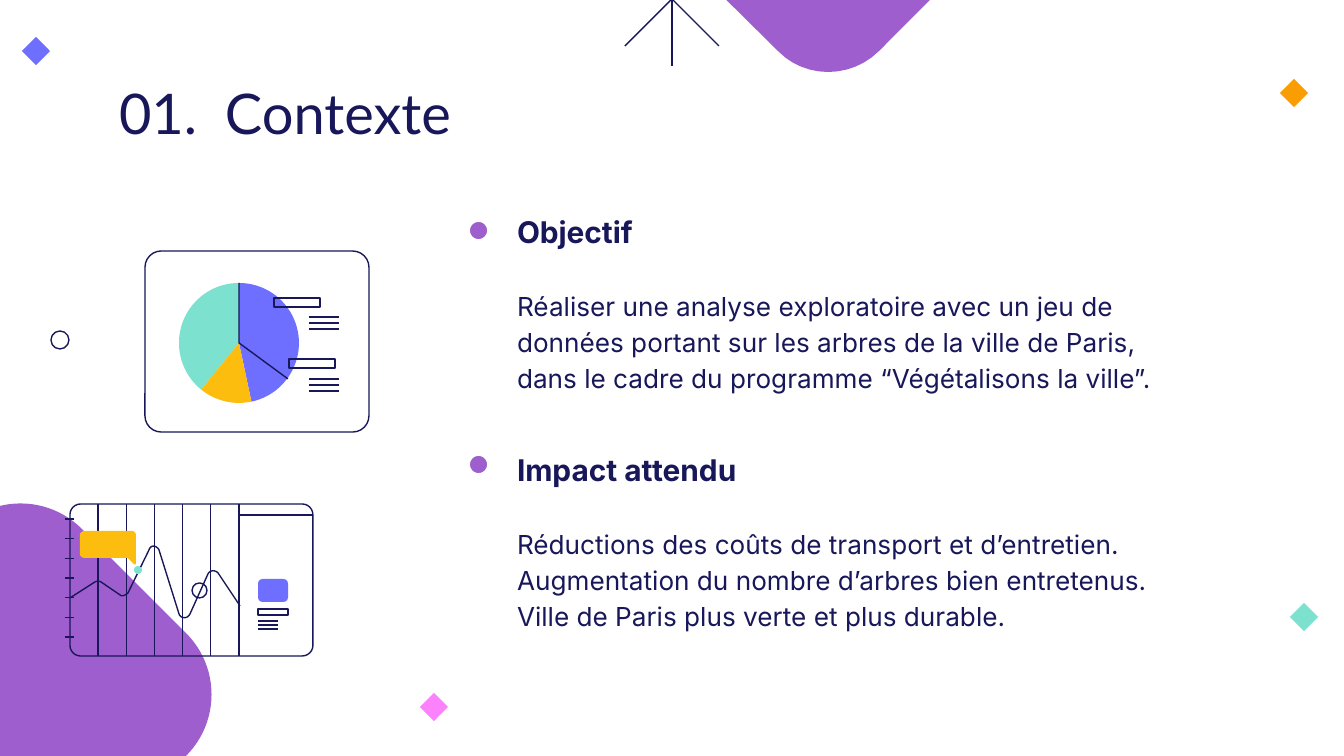
"""Build the "Contexte" slide: goal and expected impact beside two dashboard sketches."""
from math import cos, radians, sin

from lxml.etree import SubElement
from pptx import Presentation
from pptx.dml.color import RGBColor
from pptx.enum.shapes import MSO_CONNECTOR, MSO_SHAPE
from pptx.enum.text import MSO_ANCHOR, MSO_AUTO_SIZE, PP_ALIGN
from pptx.oxml.ns import qn
from pptx.util import Pt

UNIT = 914400 / 134.4
WIDE, HIGH, PAD = 1344, 756, 13
HUES = {"navy": "17175A", "purple": "9E5ECE", "mint": "7CE1CF", "orange": "FA9D02",
        "pink": "FC81FD", "blue": "6E6FFF", "yellow": "FCBD0E", "white": "FFFFFF"}

TITLE = "01.\tContexte"
TITLE_BOX, TITLE_TAB = (106, 66, 1133, 85), 106
TOPICS = [
    ("Objectif", (504, 195, 706, 94), 220, [
        "Réaliser une analyse exploratoire avec un jeu de données portant sur les arbres "
        "de la ville de Paris, dans le cadre du programme “Végétalisons la ville”."]),
    ("Impact attendu", (504, 433, 706, 64), 454, [
        "Réductions des coûts de transport et d’entretien.",
        "Augmentation du nombre d’arbres bien entretenus.",
        "Ville de Paris plus verte et plus durable."]),
]
FONTS = {"title": {"name": "Lato", "size": Pt(30), "bold": False},
         "head": {"name": "Inter", "size": Pt(16), "bold": True},
         "body": {"name": "Inter", "size": Pt(14), "bold": False}}

BLOB = (-140, 534, 321, 321)
PEAK = [(981, -60), (978, -51, 973, -43, 965, -35), (879, 51), (851, 79, 805, 79, 778, 51),
        (691, -35), (684, -43, 678, -51, 675, -60)]
GEMS = [(1304, 617, "mint"), (1294, 93, "orange"), (434, 707, "pink"), (36, 51, "blue")]
GEM = 20
ARROW = [(672, -67, 672, 66), (719, -48, 625, 46), (719, 46, 625, -48)]
RINGS = [(51, 331, 18, 18), (192, 583, 15, 15)]
PANELS = [((70, 504, 243, 152), 0.07), ((145, 251, 224, 181), 0.09)]
KEYS = [(258, 609, 30, 6), (274, 298, 46, 9), (289, 359, 46, 9)]
TAG, DOT = (258, 579, 30, 23), (134, 566, 8, 8)
WAVE = [(70, 598), (95, 582), (97, 581, 99, 581, 101, 582), (120, 595),
        (122, 597, 126, 595, 128, 593), (149, 550), (151, 544, 157, 546, 159, 550),
        (179, 614), (180, 618, 187, 620, 190, 614), (208, 574),
        (210, 570, 215, 570, 218, 573), (240, 606)]
BUBBLE = [(133, 563), (128, 558), (85, 558), (82, 558, 80, 556, 80, 554), (80, 535),
          (80, 533, 82, 531, 85, 531), (132, 531), (134, 531, 136, 533, 136, 535),
          (136, 563), (136, 565, 134, 565, 133, 563)]
HUB, RADIUS = (239, 343), 60
SLICES = [(219, 360, "mint"), (0, 168, "blue"), (168, 219, "yellow")]
HAND = [(239, 283), HUB, (288, 379)]
BARS = [(98 + 28.2 * i, 504, 98 + 28.2 * i, 656) for i in range(6)]
TICKS = [(65, 519 + 19.7 * i, 74, 519 + 19.7 * i) for i in range(7)]
NOTES = [(x, y + gap * i, x + w, y + gap * i)
         for x, y, w, gap in [(258, 621, 20, 4), (309, 317, 30, 6), (309, 379, 30, 6)]
         for i in range(3)]
RULE = [(239, 515, 312, 515)]


def px(num):
    return round(num * UNIT)


def tint(name):
    return RGBColor.from_string(HUES[name])


def paint(shape, fill=None, line=None, width=0.75):
    shape.shadow.inherit = False
    if fill:
        shape.fill.solid()
        shape.fill.fore_color.rgb = tint(fill)
    else:
        shape.fill.background()
    if line:
        shape.line.color.rgb = tint(line)
        shape.line.width = Pt(width)
    else:
        shape.line.fill.background()


def form(kind, box, fill=None, line=None, curve=None, turn=0, width=0.75):
    shape = slide.shapes.add_shape(kind, *map(px, box))
    shape.rotation = turn
    if curve:
        shape.adjustments[0] = curve
    paint(shape, fill, line, width)


def trace(path, steps=12):
    """Turn two-value points and six-value curves into a run of points."""
    spots = [path[0]]
    for part in path[1:]:
        if len(part) == 2:
            spots.append(part)
            continue
        ends = [spots[-1], part[:2], part[2:4], part[4:]]
        for i in range(1, steps + 1):
            t = i / steps
            parts = ((1 - t) ** 3, 3 * t * (1 - t) ** 2, 3 * t * t * (1 - t), t ** 3)
            spots.append(tuple(sum(w * e[k] for w, e in zip(parts, ends)) for k in (0, 1)))
    return spots


def draw(path, fill=None, line=None):
    spots = [(px(x), px(y)) for x, y in trace(path)]
    pen = slide.shapes.build_freeform(*spots[0])
    pen.add_line_segments(spots[1:], close=bool(fill))
    paint(pen.convert_to_shape(), fill, line)


def rule(ends):
    line = slide.shapes.add_connector(MSO_CONNECTOR.STRAIGHT, *map(px, ends))
    line.line.color.rgb = tint("navy")
    line.line.width = Pt(0.75)
    SubElement(line._element.spPr, qn("a:effectLst"))


def wedge(start, stop):
    turns = [radians(start + (stop - start) * i / 40) for i in range(41)]
    return [HUB] + [(HUB[0] + RADIUS * sin(a), HUB[1] - RADIUS * cos(a)) for a in turns]


def frame(shape):
    text = shape.text_frame
    looks = {"word_wrap": True, "auto_size": MSO_AUTO_SIZE.NONE, "vertical_anchor": MSO_ANCHOR.TOP}
    looks.update({"margin_" + side: px(PAD) for side in ("left", "top", "right", "bottom")})
    for key, val in looks.items():
        setattr(text, key, val)
    return text


def write(para, words, style, **looks):
    run = para.add_run()
    run.text = words
    for key, val in FONTS[style].items():
        setattr(run.font, key, val)
    run.font.color.rgb = tint("navy")
    for key, val in {"alignment": PP_ALIGN.LEFT, **looks}.items():
        setattr(para, key, val)


deck = Presentation()
deck.slide_width, deck.slide_height = px(WIDE), px(HIGH)
slide = deck.slides.add_slide(deck.slide_layouts[5])

title = slide.shapes.title
for key, val in zip(("left", "top", "width", "height"), TITLE_BOX):
    setattr(title, key, px(val))
para = frame(title).paragraphs[0]
tabs = SubElement(para._p.get_or_add_pPr(), qn("a:tabLst"))
SubElement(tabs, qn("a:tab"), pos=str(px(TITLE_TAB)), algn="l")
write(para, TITLE, "title")

form(MSO_SHAPE.ROUNDED_RECTANGLE, BLOB, "purple", curve=0.27, turn=45)
draw(PEAK, "purple")
for x, y, hue in GEMS:
    form(MSO_SHAPE.RECTANGLE, (x - GEM / 2, y - GEM / 2, GEM, GEM), hue, turn=315)
for box, curve in PANELS:
    form(MSO_SHAPE.ROUNDED_RECTANGLE, box, line="navy", curve=curve)
form(MSO_SHAPE.ROUNDED_RECTANGLE, TAG, "blue", curve=0.2)
for ends in ARROW + BARS + TICKS + RULE:
    rule(ends)
draw(WAVE, line="navy")
form(MSO_SHAPE.OVAL, DOT, "mint")
draw(BUBBLE, "yellow")
for start, stop, hue in SLICES:
    draw(wedge(start, stop), hue)
draw(HAND, line="navy")
for box in RINGS:
    form(MSO_SHAPE.OVAL, box, line="navy")
for box in KEYS:
    form(MSO_SHAPE.RECTANGLE, box, line="navy")
for ends in NOTES:
    rule(ends)

for head, box, top, lines in TOPICS:
    text = frame(slide.shapes.add_textbox(*map(px, box)))
    write(text.paragraphs[0], head, "head", line_spacing=1.15, space_after=Pt(19.4))
    for words in lines:
        write(text.add_paragraph(), words, "body", line_spacing=1.15)
    form(MSO_SHAPE.OVAL, (468, top, 21, 21), "purple", "white", width=2)

deck.save("out.pptx")
